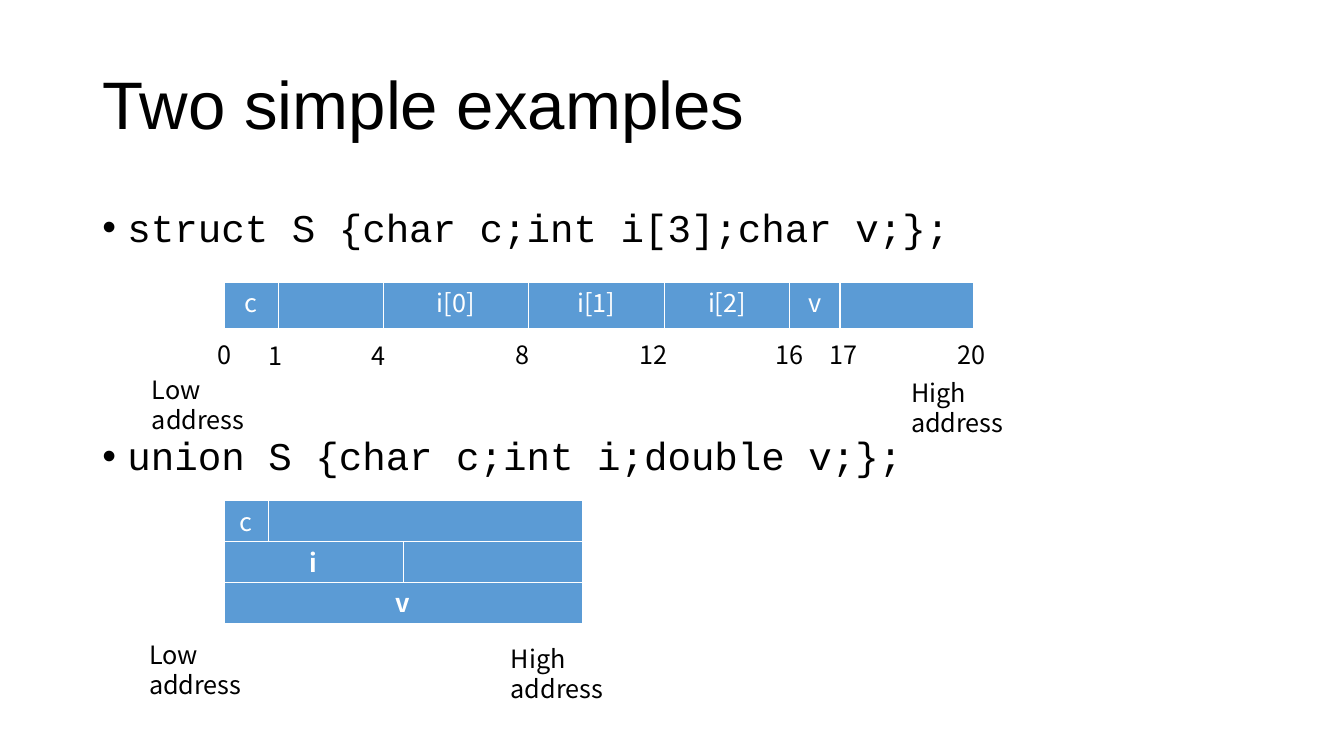
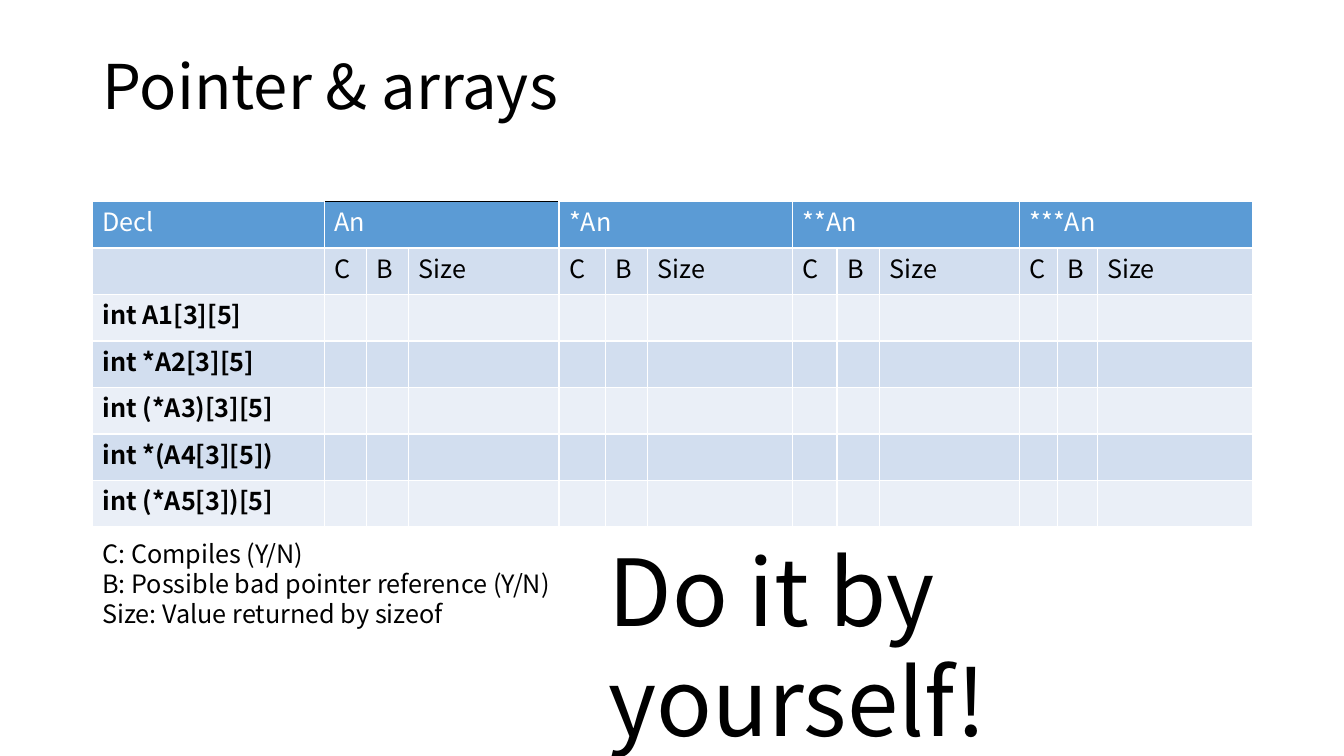
"""Build two slides on C memory layout: struct and union examples, pointers and arrays."""
from lxml import etree
from pptx import Presentation
from pptx.dml.color import RGBColor
from pptx.enum import text as t
from pptx.oxml import ns
from pptx.util import Pt

SANS, MONO, ARIAL = "Noto Sans CJK SC", "Courier New", "Arial"
BLACK, WHITE = RGBColor(0, 0, 0), RGBColor(255, 255, 255)
BLUE = RGBColor(0x5B, 0x9B, 0xD5)
BAND_DARK, BAND_LIGHT = RGBColor(0xD2, 0xDE, 0xEF), RGBColor(0xEA, 0xEF, 0xF7)
LEFT, WIDTH = 66, 828
TEXT_SIZE, LINE_RATIO, TOP_RATIO = 18, 1.19, 0.1
TITLE_ONLY = 5

CODE_LINES = [("struct S {char c;int i[3];char v;};", 10),
              ("union S {char c;int i;double v;};", 133)]
STRUCT_FIELDS = [("c", 38.9), ("", 74.9), ("i[0]", 103.7), ("i[1]", 97.2),
                 ("i[2]", 89.3), ("v", 36), ("", 95.8)]
OFFSETS = [("0", 148.3, 237), ("1", 185, 237.6), ("4", 258.5, 237.6),
           ("8", 361.4, 237), ("12", 450, 237), ("16", 547.2, 237),
           ("17", 585.4, 237), ("20", 676.8, 237)]
ADDRESSES = [("Low address", 101.5, 262), ("High address", 643.7, 264.2),
             ("Low address", 99.4, 451.4), ("High address", 357.8, 454.3)]
UNION_ROWS = [["c", "", ""], ["i", "", ""], ["v", "", ""]]
UNION_WIDTHS = [32, 96, 128]
UNION_MERGES = [(0, 1, 2), (1, 0, 1), (2, 0, 2)]

EXPRESSIONS = ["An", "*An", "**An", "***An"]
CHECKS = ["C", "B", "Size"]
DECLARATIONS = ["int A1[3][5]", "int *A2[3][5]", "int (*A3)[3][5]",
                "int *(A4[3][5])", "int (*A5[3])[5]"]
ARRAY_WIDTHS = [165.6, 30.2, 30.2, 107.3, 33.1, 30.2, 103.7,
                31.7, 30.2, 100.1, 27.4, 28.1, 110.9]
LEGEND = ["C: Compiles (Y/N)", "B: Possible bad pointer reference (Y/N)",
          "Size: Value returned by sizeof"]
CALL = "Do it by yourself!"


def assign(target, **values):
    for name, value in values.items():
        setattr(target, name, value)


def write(para, words, size=TEXT_SIZE, font=SANS, color=BLACK, bold=False):
    span = para.add_run()
    span.text = words
    assign(span.font, name=font, size=Pt(size), bold=bold)
    span.font.color.rgb = color


def add_titled_page(deck, words, top, height, size, font):
    page = deck.slides.add_slide(deck.slide_layouts[TITLE_ONLY])
    title = page.shapes.title
    assign(title, left=Pt(LEFT), top=Pt(top), width=Pt(WIDTH), height=Pt(height))
    assign(title.text_frame, word_wrap=True, vertical_anchor=t.MSO_ANCHOR.MIDDLE,
           auto_size=t.MSO_AUTO_SIZE.NONE)
    para = title.text_frame.paragraphs[0]
    assign(para, alignment=t.PP_ALIGN.LEFT, line_spacing=0.9)
    write(para, words, size, font)
    return page


def add_lines(page, lines, left, top, width, size=TEXT_SIZE):
    box = page.shapes.add_textbox(Pt(left), Pt(top), Pt(width), Pt(size * 1.6))
    frame = box.text_frame
    assign(frame, word_wrap=True, margin_top=Pt(3.6 + size * TOP_RATIO))
    for index, line in enumerate(lines):
        para = frame.add_paragraph() if index else frame.paragraphs[0]
        para.line_spacing = Pt(size * LINE_RATIO)
        write(para, line, size)


def add_code(page):
    frame = page.shapes.add_textbox(Pt(LEFT), Pt(145.4), Pt(WIDTH), Pt(342.7)).text_frame
    frame.word_wrap = True
    for index, (line, gap) in enumerate(CODE_LINES):
        para = frame.add_paragraph() if index else frame.paragraphs[0]
        assign(para, line_spacing=0.9, space_before=Pt(gap))
        props = para._p.get_or_add_pPr()
        props.set("marL", str(Pt(18)))
        props.set("indent", str(-Pt(18)))
        etree.SubElement(props, ns.qn("a:buFont"), typeface=ARIAL)
        etree.SubElement(props, ns.qn("a:buChar"), char="•")
        write(para, line, 28, MONO)


def set_borders(cell, top=WHITE):
    props = cell._tc.get_or_add_tcPr()
    sides = {"L": WHITE, "R": WHITE, "T": top, "B": WHITE}
    for index, (side, color) in enumerate(sides.items()):
        line = etree.Element(ns.qn("a:ln" + side), w=str(Pt(1)))
        fill = etree.SubElement(line, ns.qn("a:solidFill"))
        etree.SubElement(fill, ns.qn("a:srgbClr"), val=str(color))
        props.insert(index, line)


def add_grid(page, rows, widths, left, top, row_height, style, merges=()):
    table = page.shapes.add_table(len(rows), len(widths), Pt(left), Pt(top),
                                  Pt(sum(widths)), Pt(row_height * len(rows))).table
    assign(table, first_row=False, horz_banding=False)
    for column, width in zip(table.columns, widths):
        column.width = Pt(width)
    for r, row in enumerate(rows):
        for c, words in enumerate(row):
            cell, look = table.cell(r, c), style(r, c)
            set_borders(cell, look.get("top", WHITE))
            cell.fill.solid()
            cell.fill.fore_color.rgb = look["fill"]
            assign(cell, margin_top=Pt(3.6 + TEXT_SIZE * TOP_RATIO), margin_bottom=Pt(2))
            para = cell.text_frame.paragraphs[0]
            assign(para, alignment=look["align"], line_spacing=Pt(TEXT_SIZE * LINE_RATIO))
            if words:
                write(para, words, color=look["color"], bold=look["bold"])
    for r, first, last in merges:
        table.cell(r, first).merge(table.cell(r, last))


def memory_style(row, column):
    return dict(fill=BLUE, color=WHITE, bold=row > 0, align=t.PP_ALIGN.CENTER)


def array_style(row, column):
    look = dict(fill=BAND_DARK if row % 2 else BAND_LIGHT, color=BLACK,
                bold=row > 1, align=t.PP_ALIGN.LEFT)
    if row == 0:
        look.update(fill=BLUE, color=WHITE, top=BLACK if 1 <= column <= 3 else WHITE)
    return look


def build_examples(deck):
    page = add_titled_page(deck, "Two simple examples", 51.8, 50.4, 48, ARIAL)
    add_code(page)
    fields, widths = zip(*STRUCT_FIELDS)
    add_grid(page, [fields], widths, 160, 201.8, 33.2, memory_style)
    add_grid(page, UNION_ROWS, UNION_WIDTHS, 160, 357.8, 29.2, memory_style, UNION_MERGES)
    for words, left, top in ADDRESSES:
        add_lines(page, [words], left, top, 100)
    for words, left, top in OFFSETS:
        add_lines(page, [words], left, top, 40)


def build_arrays(deck):
    page = add_titled_page(deck, "Pointer & arrays", 28.8, 69.8, 44, SANS)
    step = len(CHECKS)
    header = ["Decl"]
    for expression in EXPRESSIONS:
        header += [expression] + [""] * (step - 1)
    blanks = [""] * (step * len(EXPRESSIONS))
    rows = [header, [""] + CHECKS * len(EXPRESSIONS)]
    rows += [[declaration] + blanks for declaration in DECLARATIONS]
    merges = [(0, c, c + step - 1) for c in range(1, len(header), step)]
    add_grid(page, rows, ARRAY_WIDTHS, LEFT, 144, 33.2, array_style, merges)
    add_lines(page, LEGEND, LEFT, 379.4, 480)
    add_lines(page, [CALL], 427.7, 372.2, 500, 66)


def main():
    deck = Presentation()
    assign(deck, slide_width=Pt(960), slide_height=Pt(540))
    build_examples(deck)
    build_arrays(deck)
    deck.save("out.pptx")


if __name__ == "__main__":
    main()
